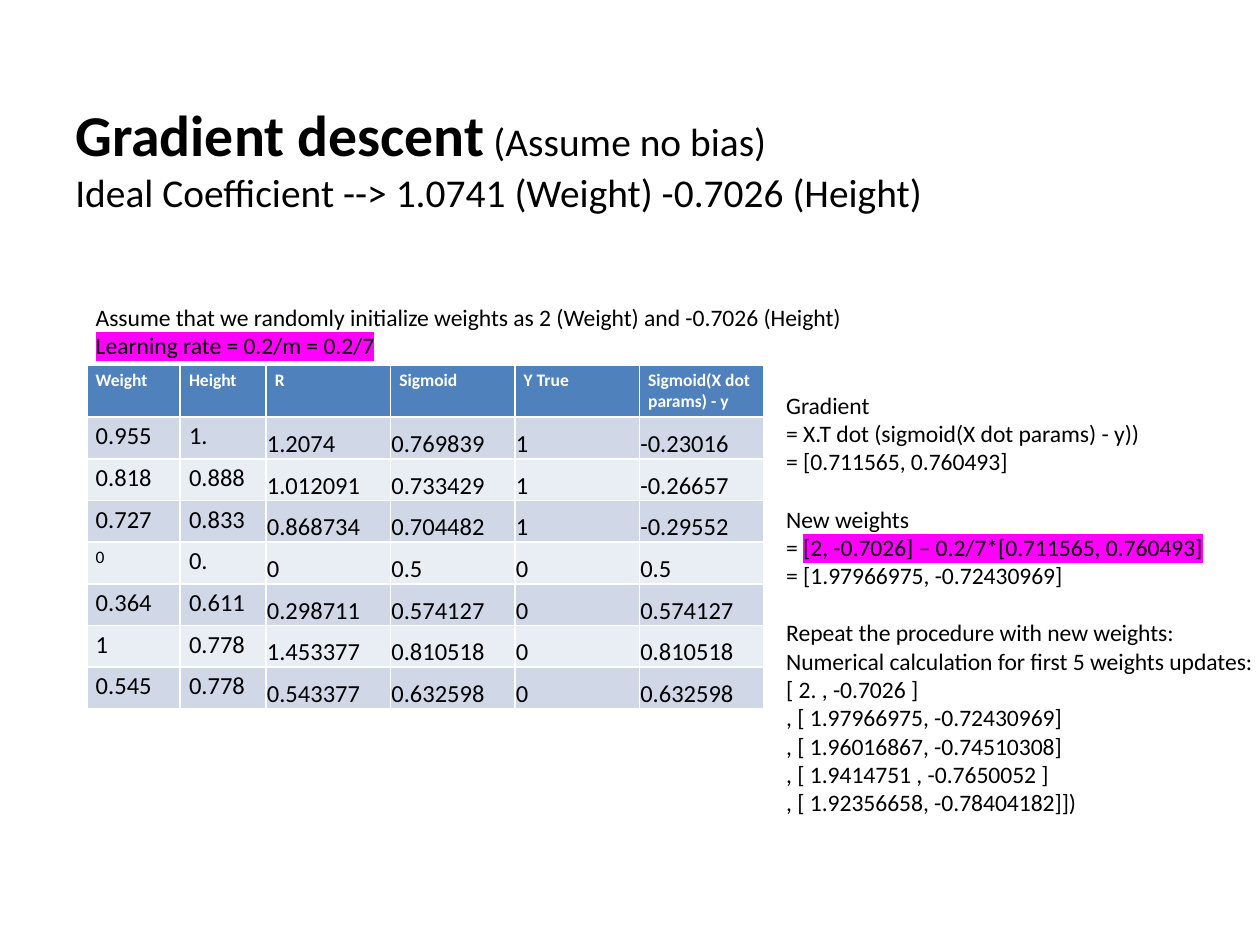
import pptx
import pptx.util
import pptx.dml.color
import pptx.enum.text
import lxml.etree

Cm, Pt = pptx.util.Cm, pptx.util.Pt
Anchor = pptx.enum.text.MSO_ANCHOR
FONT = "Calibri"
BLACK, WHITE, MAGENTA = "000000", "FFFFFF", "FF00FF"
HEADER_FILL, BANDS = "4F81BD", ("D0D8E8", "E9EDF4")
BODY_SIZE, BLOCK_GAP = 13.5, 16.5

# Content
TITLE = "Gradient descent"
TITLE_NOTES = (" (Assume no bias)", "Ideal Coefficient --> 1.0741 (Weight) -0.7026 (Height)")

# Each block is a list of lines; a line is (plain text, highlighted text)
SETUP = [[
    ("Assume that we randomly initialize weights as 2 (Weight) and -0.7026 (Height)", ""),
    ("", "Learning rate = 0.2/m = 0.2/7"),
]]
STEPS = [
    [("Gradient", ""),
     ("= X.T dot (sigmoid(X dot params) - y))", ""),
     ("= [0.711565, 0.760493]", "")],
    [("New weights", ""),
     ("= ", "[2, -0.7026] – 0.2/7*[0.711565, 0.760493]"),
     ("= [1.97966975, -0.72430969]", "")],
    [("Repeat the procedure with new weights:", ""),
     ("Numerical calculation for first 5 weights updates:", ""),
     ("[ 2. , -0.7026 ]", ""),
     (", [ 1.97966975, -0.72430969]", ""),
     (", [ 1.96016867, -0.74510308]", ""),
     (", [ 1.9414751 , -0.7650052 ]", ""),
     (", [ 1.92356658, -0.78404182]])", "")],
]
TABLE = [
    ("Weight", "Height", "R", "Sigmoid", "Y True", "Sigmoid(X dot params) - y"),
    ("0.955", "1.", "1.2074", "0.769839", "1", "-0.23016"),
    ("0.818", "0.888", "1.012091", "0.733429", "1", "-0.26657"),
    ("0.727", "0.833", "0.868734", "0.704482", "1", "-0.29552"),
    ("0", "0.", "0", "0.5", "0", "0.5"),
    ("0.364", "0.611", "0.298711", "0.574127", "0", "0.574127"),
    ("1", "0.778", "1.453377", "0.810518", "0", "0.810518"),
    ("0.545", "0.778", "0.543377", "0.632598", "0", "0.632598"),
]
COLUMN_WIDTHS = [1.88, 1.73] + [2.51] * 4
ROW_HEIGHTS = [1.04] + [0.84] * 7
INPUT_COLUMNS = 2
SMALL_CELL = (4, 0)
WIDE_INSETS = (0.18, 0.09, 0.18, 0.09)
TIGHT_INSETS = (0.02, 0.02, 0.02, 0)


def rgb(value):
    return pptx.dml.color.RGBColor.from_string(value)


def style(paragraph, size, color=BLACK, bold=False):
    font = paragraph.font
    font.name, font.size, font.bold = FONT, Pt(size), bold
    font.color.rgb = rgb(color)


def set_insets(item, insets):
    item.margin_left, item.margin_top, item.margin_right, item.margin_bottom = map(Cm, insets)


def add_box(page, left, top, width, height):
    return page.shapes.add_textbox(Cm(left), Cm(top), Cm(width), Cm(height)).text_frame


def highlight(span):
    namespace = "{http://schemas.openxmlformats.org/drawingml/2006/main}"
    properties = span._r.get_or_add_rPr()
    mark = lxml.etree.SubElement(properties, namespace + "highlight")
    lxml.etree.SubElement(mark, namespace + "srgbClr", val=MAGENTA)


def write_blocks(frame, blocks):
    frame.auto_size = pptx.enum.text.MSO_AUTO_SIZE.SHAPE_TO_FIT_TEXT
    for block_index, block in enumerate(blocks):
        for line_index, (plain, marked) in enumerate(block):
            first = block_index == line_index == 0
            para = frame.paragraphs[0] if first else frame.add_paragraph()
            if block_index and line_index == 0:
                para.space_before = Pt(BLOCK_GAP)
            style(para, BODY_SIZE)
            if plain:
                para.add_run().text = plain
            if marked:
                span = para.add_run()
                span.text = marked
                highlight(span)


def add_title(page):
    frame = add_box(page, 1.27, 1.57, 22.86, 3.18)
    frame.word_wrap = True
    frame.vertical_anchor = Anchor.MIDDLE
    para = frame.paragraphs[0]
    style(para, 22.5)
    span = para.add_run()
    span.text = TITLE
    span.font.size, span.font.bold = Pt(33), True
    para.add_run().text = TITLE_NOTES[0]
    para.add_line_break()
    para.add_run().text = TITLE_NOTES[1]


def add_data_table(page):
    table = page.shapes.add_table(
        len(TABLE), len(COLUMN_WIDTHS), Cm(1.75), Cm(7.37),
        Cm(sum(COLUMN_WIDTHS)), Cm(sum(ROW_HEIGHTS))).table
    for column, width in zip(table.columns, COLUMN_WIDTHS):
        column.width = Cm(width)
    for row, height in zip(table.rows, ROW_HEIGHTS):
        row.height = Cm(height)
    for row_index, values in enumerate(TABLE):
        header = row_index == 0
        for column_index, value in enumerate(values):
            cell = table.cell(row_index, column_index)
            computed = not header and column_index >= INPUT_COLUMNS
            set_insets(cell, TIGHT_INSETS if computed else WIDE_INSETS)
            cell.vertical_anchor = Anchor.BOTTOM if computed else Anchor.TOP
            cell.fill.solid()
            cell.fill.fore_color.rgb = rgb(HEADER_FILL if header else BANDS[(row_index - 1) % 2])
            cell.text = value
            small = header or (row_index, column_index) == SMALL_CELL
            style(cell.text_frame.paragraphs[0], 10 if small else 14,
                  WHITE if header else BLACK, header)


def main():
    deck = pptx.Presentation()
    deck.slide_width, deck.slide_height = Cm(25.4), Cm(19.05)
    page = deck.slides.add_slide(deck.slide_layouts[6])
    add_title(page)

    # Starting weights above the table
    setup = add_box(page, 1.75, 6.02, 16.43, 1.35)
    setup.word_wrap = True
    set_insets(setup, WIDE_INSETS)
    write_blocks(setup, SETUP)

    add_data_table(page)

    # Update steps beside the table
    steps = add_box(page, 15.6, 7.75, 10.06, 8.92)
    steps.word_wrap = False
    write_blocks(steps, STEPS)

    deck.save("out.pptx")


if __name__ == "__main__":
    main()
